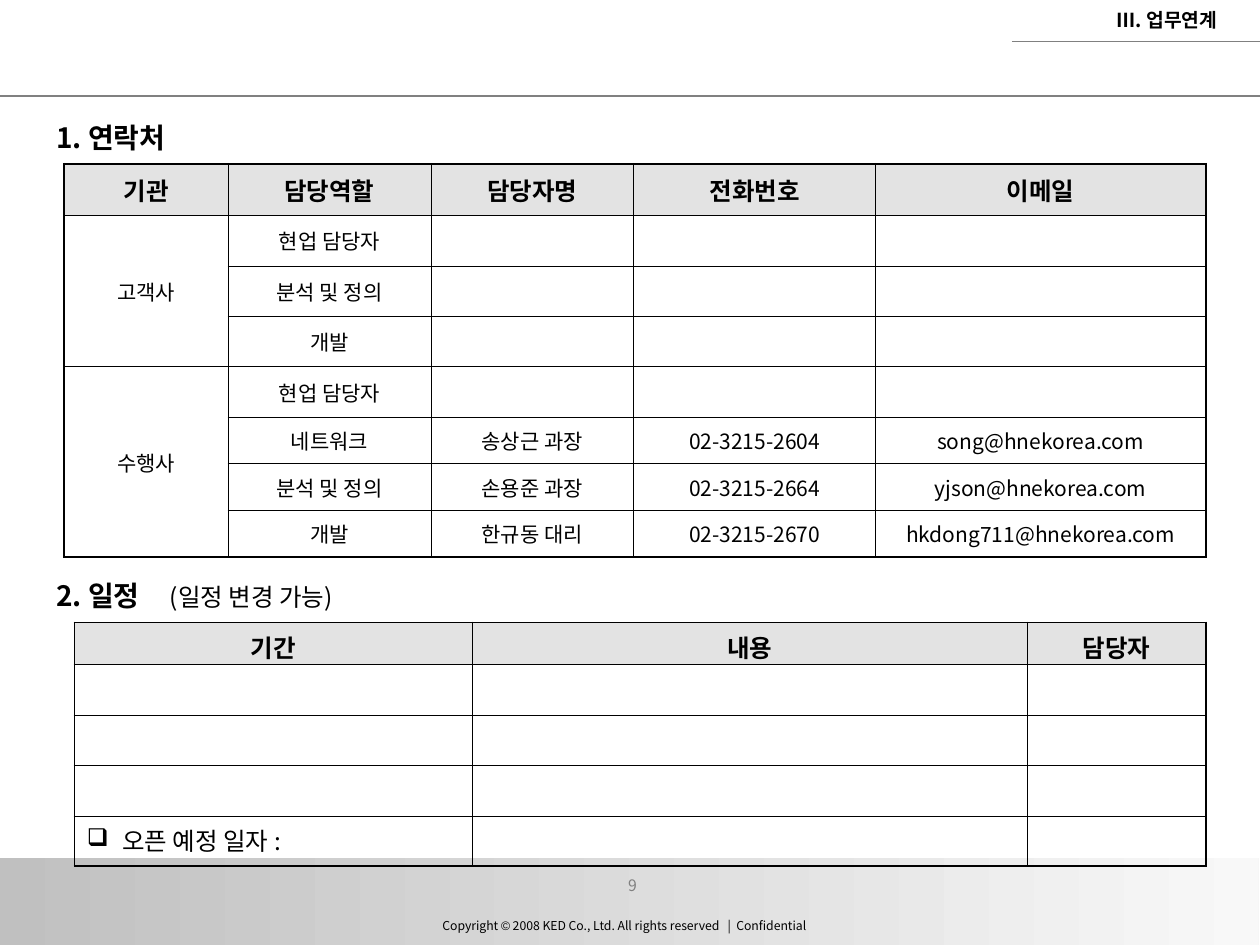
from lxml.etree import SubElement
from pptx import Presentation
from pptx.dml.color import RGBColor
from pptx.enum.shapes import MSO_CONNECTOR as Connector, MSO_SHAPE as Shape
from pptx.enum.text import MSO_ANCHOR as Anchor, PP_ALIGN as Align
from pptx.oxml.ns import qn
from pptx.util import Inches, Pt

FONT = "Noto Sans CJK KR"
BLACK, GRAY, HEADER = "000000", "808080", "E3E3E3"
THIN, THICK = 0.45, 1.08
HEADING = {"size": Pt(16), "bold": True}
TABLE_HEADER = {"size": Pt(14), "bold": True}
TABLE_BODY = {"size": Pt(12), "bold": False}

CONTACTS = [
    ["기관", "담당역할", "담당자명", "전화번호", "이메일"],
    ["고객사", "현업 담당자", "", "", ""],
    ["", "분석 및 정의", "", "", ""],
    ["", "개발", "", "", ""],
    ["수행사", "현업 담당자", "", "", ""],
    ["", "네트워크", "송상근 과장", "02-3215-2604", "song@hnekorea.com"],
    ["", "분석 및 정의", "손용준 과장", "02-3215-2664", "yjson@hnekorea.com"],
    ["", "개발", "한규동 대리", "02-3215-2670", "hkdong711@hnekorea.com"],
]
SCHEDULE = [["기간", "내용", "담당자"]] + [[""] * 3] * 4


def color(value):
    return RGBColor.from_string(value)


def add_run(paragraph, text, formats, fill=BLACK, name=FONT):
    run = paragraph.add_run()
    run.text = text
    for attribute, value in {"name": name, **formats}.items():
        setattr(run.font, attribute, value)
    run.font.color.rgb = color(fill)
    latin = run.font._element.find(qn("a:latin"))
    east_asian = SubElement(run.font._element, qn("a:ea"), typeface=name)
    latin.addnext(east_asian)


def add_text(slide, box, runs, align=Align.LEFT, anchor=Anchor.TOP):
    shape = slide.shapes.add_textbox(*map(Inches, box))
    frame = shape.text_frame
    frame.word_wrap = True
    frame.vertical_anchor = anchor
    paragraph = frame.paragraphs[0]
    paragraph.alignment = align
    for run in runs:
        add_run(paragraph, *run)
    return paragraph


def add_tab_stop(paragraph, position):
    tabs = SubElement(paragraph._p.get_or_add_pPr(), qn("a:tabLst"))
    SubElement(tabs, qn("a:tab"), pos=str(Inches(position)), algn="l")


def add_bullet(paragraph, character, indent):
    properties = paragraph._p.get_or_add_pPr()
    properties.set("marL", str(Inches(indent)))
    properties.set("indent", str(-Inches(indent)))
    bullet_color = SubElement(properties, qn("a:buClr"))
    SubElement(bullet_color, qn("a:srgbClr"), val=BLACK)
    SubElement(properties, qn("a:buChar"), char=character)


def add_rule(slide, left, top, width):
    line = slide.shapes.add_connector(
        Connector.STRAIGHT, Inches(left), Inches(top), Inches(10), Inches(top))
    line.line.color.rgb = color(GRAY)
    line.line.width = Pt(width)
    SubElement(line._element.spPr, qn("a:effectLst"))


def add_footer_band(slide):
    band = slide.shapes.add_shape(
        Shape.RECTANGLE, Inches(0), Inches(6.81), Inches(9.99), Inches(0.71))
    band.shadow.inherit = False
    band.line.fill.background()
    band.fill.gradient()
    band.fill.gradient_angle = 0
    for stop, value in zip(band.fill.gradient_stops, ("C0C0C0", "F8F8F8")):
        stop.color.rgb = color(value)


def set_borders(cell, outer_sides):
    properties = cell._tc.get_or_add_tcPr()
    for side in "LRTB":
        width = Pt(THICK if side in outer_sides else THIN)
        line = SubElement(properties, qn(f"a:ln{side}"), w=str(width))
        fill = SubElement(line, qn("a:solidFill"))
        SubElement(fill, qn("a:srgbClr"), val=BLACK)


def add_grid(slide, left, top, columns, heights, rows, anchor, merges=()):
    table = slide.shapes.add_table(
        len(rows), len(columns), Inches(left), Inches(top),
        Inches(sum(columns)), Inches(sum(heights))).table
    table.first_row = table.horz_banding = False
    for column, width in zip(table.columns, columns):
        column.width = Inches(width)
    for row, height in zip(table.rows, heights):
        row.height = Inches(height)
    for first, last in merges:
        table.cell(first, 0).merge(table.cell(last, 0))
    for i, texts in enumerate(rows):
        for j, text in enumerate(texts):
            cell = table.cell(i, j)
            bottom = i + (cell.span_height if cell.is_merge_origin else 1)
            edges = {"L": j == 0, "R": j == len(columns) - 1,
                     "T": i == 0, "B": bottom == len(rows)}
            set_borders(cell, [side for side, outer in edges.items() if outer])
            cell.vertical_anchor = anchor
            if i == 0:
                cell.fill.solid()
                cell.fill.fore_color.rgb = color(HEADER)
            else:
                cell.fill.background()
            if text:
                paragraph = cell.text_frame.paragraphs[0]
                paragraph.alignment = Align.CENTER
                add_run(paragraph, text, TABLE_BODY if i else TABLE_HEADER)


def main():
    presentation = Presentation()
    presentation.slide_width, presentation.slide_height = Inches(10), Inches(7.5)
    slide = presentation.slides.add_slide(presentation.slide_layouts[6])

    add_footer_band(slide)
    small = {"size": Pt(7)}
    add_text(slide, (3.18, 7.12, 3.55, 0.33), [
        ("Copyright ", small),
        ("©", small, BLACK, "Arial"),
        (" 2008 KED Co., Ltd. All rights reserved   |  Confidential", small),
    ], Align.CENTER, Anchor.BOTTOM)
    add_rule(slide, 0, 0.76, 1)
    add_rule(slide, 8.03, 0.33, 0.75)
    add_text(slide, (4.68, 6.9, 0.68, 0.31),
             [("9", {"size": Pt(9)}, GRAY)], Align.CENTER)
    add_text(slide, (7.92, -0.07, 1.84, 0.46),
             [("Ⅲ. 업무연계", {"size": Pt(11), "bold": True})],
             Align.RIGHT, Anchor.MIDDLE)

    add_text(slide, (0.35, 0.91, 9.3, 0.7), [("1. 연락처", HEADING)])
    add_grid(slide, 0.51, 1.3, [1.3, 1.61, 1.61, 1.92, 2.62],
             [0.41] + [0.37] * 7, CONTACTS, Anchor.MIDDLE, [(1, 3), (4, 7)])

    schedule_heading = add_text(slide, (0.35, 4.54, 9.3, 0.7), [
        ("2. 일정\t", HEADING), ("(일정 변경 가능)", {"size": Pt(14)})])
    add_tab_stop(schedule_heading, 0.9)
    add_grid(slide, 0.59, 4.94, [3.16, 4.4, 1.42],
             [0.33] + [0.3] * 4, SCHEDULE, Anchor.TOP)
    opening_date = add_text(slide, (0.59, 6.51, 8.98, 0.7),
                            [("오픈 예정 일자 :", {"size": Pt(14)})])
    add_bullet(opening_date, "❑", 0.28)

    presentation.save("out.pptx")


if __name__ == "__main__":
    main()
